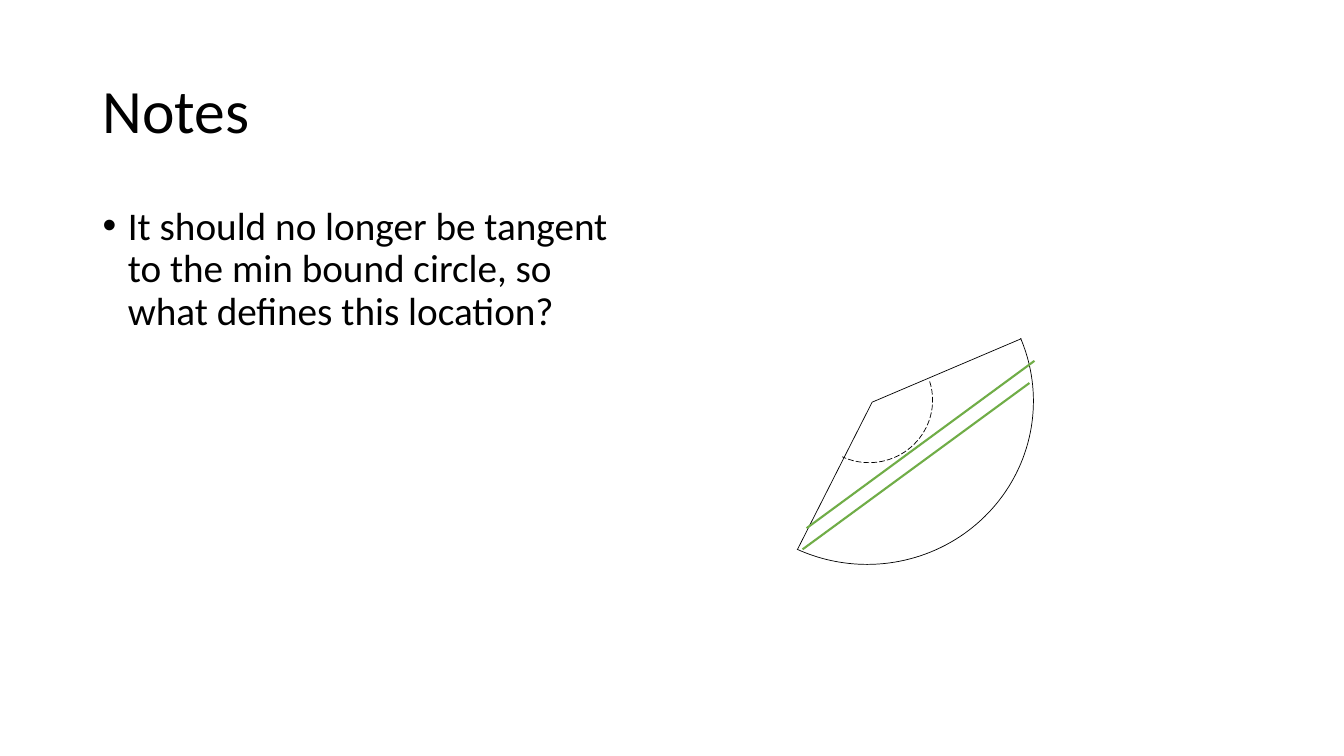
from dataclasses import dataclass

import lxml.etree
import pptx
import pptx.dml.color
import pptx.enum.dml
import pptx.enum.shapes
import pptx.enum.text
import pptx.oxml.ns
import pptx.util
from pptx.util import Inches


@dataclass(frozen=True)
class Theme:
    """Colours, type sizes and line widths of the slide."""
    font: str = "Calibri"
    ink: str = "000000"
    chord: str = "70AD47"
    title_size: int = 44
    body_size: int = 28
    thin: float = 0.5
    thick: float = 1.5


THEME = Theme()


def rgb(colour):
    """Return a colour object for a hex string."""
    return pptx.dml.color.RGBColor.from_string(colour)


def add_text(slide, box, text, size, anchor):
    """Add a wrapped text box with one paragraph and return the paragraph."""
    frame = slide.shapes.add_textbox(*map(Inches, box)).text_frame
    frame.word_wrap = True
    frame.vertical_anchor = anchor
    paragraph = frame.paragraphs[0]
    paragraph.line_spacing = 0.9
    run = paragraph.add_run()
    run.text = text
    run.font.name = THEME.font
    run.font.size = pptx.util.Pt(size)
    run.font.color.rgb = rgb(THEME.ink)
    return paragraph


def add_bullet(paragraph):
    """Give a paragraph a bullet with a hanging indent."""
    paragraph.space_before = pptx.util.Pt(10)
    properties = paragraph._p.get_or_add_pPr()
    properties.set("marL", str(Inches(0.25)))
    properties.set("indent", str(-Inches(0.25)))
    for tag, name, value in (("a:buFont", "typeface", "Arial"), ("a:buChar", "char", "•")):
        mark = lxml.etree.SubElement(properties, pptx.oxml.ns.qn(tag))
        mark.set(name, value)


def add_arc(slide, box, start, end, dash=None):
    """Draw an unfilled arc clockwise between two angles in degrees."""
    arc = slide.shapes.add_shape(pptx.enum.shapes.MSO_SHAPE.ARC, *map(Inches, box))
    for index, degrees in enumerate((start, end)):
        arc.adjustments[index] = degrees * 60000 / 100000
    arc.shadow.inherit = False
    arc.fill.background()
    arc.line.color.rgb = rgb(THEME.ink)
    arc.line.width = pptx.util.Pt(THEME.thin)
    arc.line.dash_style = dash


def add_line(slide, start, end, colour, width):
    """Draw a straight line between two points."""
    line = slide.shapes.add_connector(
        pptx.enum.shapes.MSO_CONNECTOR.STRAIGHT, *map(Inches, start + end))
    line.line.color.rgb = rgb(colour)
    line.line.width = pptx.util.Pt(width)
    lxml.etree.SubElement(line._element.spPr, pptx.oxml.ns.qn("a:effectLst"))


def add_sector(slide):
    """Draw the sector with its inner bounding arc and two chords."""
    add_arc(slide, (6.95, 2.36, 3.3, 3.24), 337.7, 115.32)
    add_arc(slide, (7.99, 3.35, 1.26, 1.24), 342.79, 115.32,
            pptx.enum.dml.MSO_LINE.LONG_DASH)
    apex = (8.65, 3.99)
    for rim in ((7.91, 5.45), (10.13, 3.36)):
        add_line(slide, apex, rim, THEME.ink, THEME.thin)
    for start, end in (((10.26, 3.58), (8, 5.24)), ((10.21, 3.8), (7.96, 5.45))):
        add_line(slide, start, end, THEME.chord, THEME.thick)


def main():
    """Build and save the slide."""
    presentation = pptx.Presentation()
    presentation.slide_width = Inches(13.33)
    presentation.slide_height = Inches(7.5)
    slide = presentation.slides.add_slide(presentation.slide_layouts[6])
    anchors = pptx.enum.text.MSO_ANCHOR
    add_text(slide, (0.92, 0.4, 11.5, 1.45), "Notes", THEME.title_size, anchors.MIDDLE)
    question = add_text(
        slide, (0.92, 2, 5.37, 4.76),
        "It should no longer be tangent to the min bound circle, so what defines this location?",
        THEME.body_size, anchors.TOP)
    add_bullet(question)
    add_sector(slide)
    presentation.save("out.pptx")


if __name__ == "__main__":
    main()
